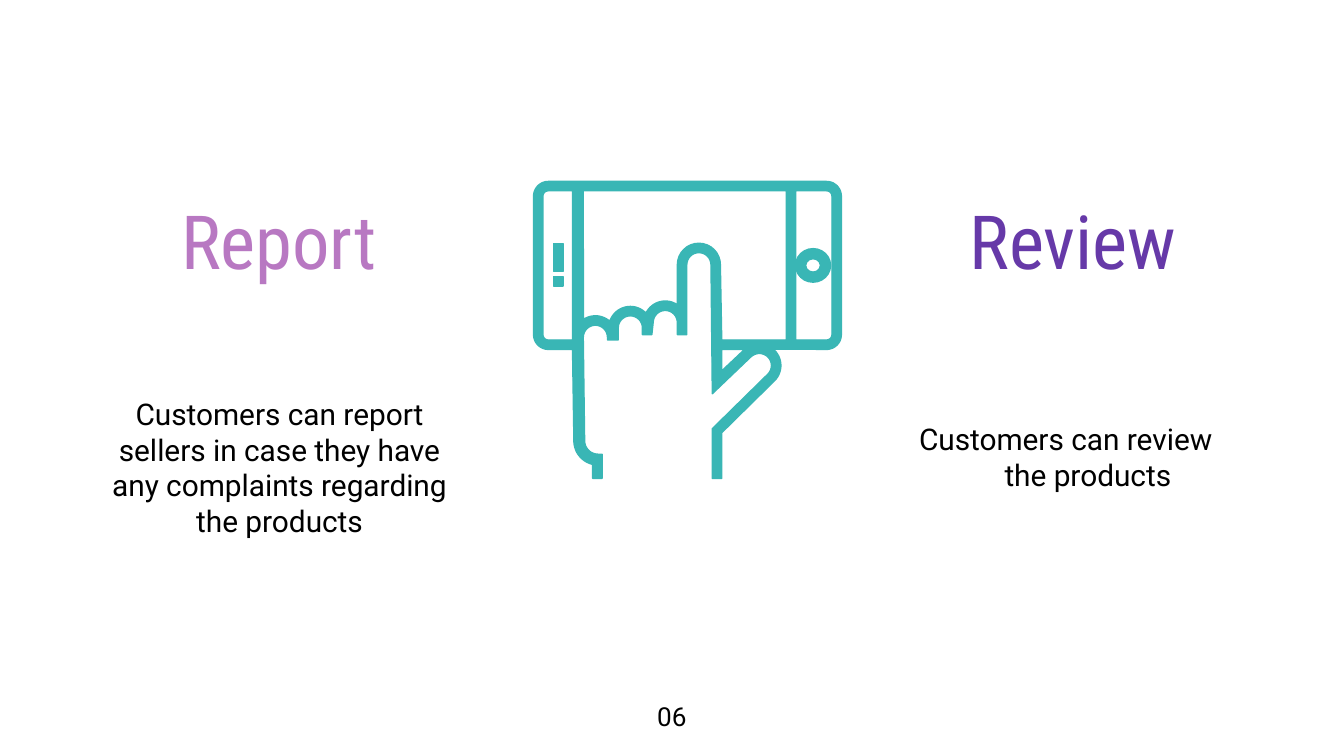
from math import cos, radians, sin

from pptx import Presentation
from pptx.dml.color import RGBColor
from pptx.enum.shapes import MSO_SHAPE
from pptx.enum.text import MSO_ANCHOR, PP_ALIGN
from pptx.util import Inches, Pt

TEAL, BLACK = "39B6B5", "000000"
BODY, HEAD = "Roboto", "Roboto Condensed"
MIDDLE, TOP = MSO_ANCHOR.MIDDLE, MSO_ANCHOR.TOP

# Text, box (left, top, width, height), font, size, colour, anchor, hanging indent
TEXTS = [
    ("Customers can report sellers in case they have any complaints "
     "regarding the products",
     (0.67, 3.13, 2.82, 0.69), BODY, 16, BLACK, MIDDLE, 0),
    ("Customers can review the products",
     (6.68, 3.05, 2.5, 0.69), BODY, 16, BLACK, MIDDLE, 0.33),
    ("Report", (1.2, 1.63, 1.75, 0.31), HEAD, 40, "B878C2", MIDDLE, 0),
    ("Review", (7.11, 1.63, 1.75, 0.31), HEAD, 40, "6639A8", MIDDLE, 0),
    ("06", (4.71, 5.11, 0.58, 0.44), BODY, 14, BLACK, TOP, 0),
]


def arc(center, radius, start, end, steps=16):
    """Points on a circle; angles in degrees, clockwise from the right."""
    cx, cy = center
    angles = [radians(start + (end - start) * i / steps) for i in range(steps + 1)]
    return [(cx + radius * cos(a), cy + radius * sin(a)) for a in angles]


# Centres of the round parts of the hand and the phone corners
FINGER, THUMB, WRIST = (5.2, 1.97), (5.65, 2.72), (4.45, 3.28)
RING, MID, INDEX = (4.43, 2.51), (4.69, 2.44), (4.95, 2.4)
TL, TR, BR, BL = (4.08, 1.46), (6.15, 1.46), (6.15, 2.49), (4.08, 2.49)
OUTER, INNER = 0.16, 0.09         # radii of the fingers
EDGE, CORNER = 0.11, 0.04         # radii of the phone corners

SILHOUETTE = [
    *arc(TR, EDGE, 270, 360), *arc(BR, EDGE, 0, 90),
    *arc(THUMB, OUTER, -50, 45),
    (5.37, 3.22), (5.37, 3.56), (5.3, 3.56), (5.3, 3.19),
    *arc(THUMB, INNER, 45, -135), (5.3, 2.93),
    *arc(FINGER, INNER, 360, 180), (5.11, 2.49), (5.04, 2.49),
    *arc(INDEX, INNER, 360, 180), (4.85, 2.49), (4.78, 2.49),
    *arc(MID, INNER, 360, 180), (4.6, 2.53), (4.52, 2.53),
    *arc(RING, INNER, 360, 180),
    *arc(WRIST, 0.1, 180, 90), (4.48, 3.38), (4.48, 3.56), (4.41, 3.56),
    *arc(WRIST, 0.18, 103, 180), (4.26, 2.6),
    *arc(BL, EDGE, 90, 180), *arc(TL, EDGE, 180, 270),
]
SCREEN = [
    (4.34, 1.42), *arc(RING, OUTER, 236, 307), *arc(MID, OUTER, 200, 312),
    *arc(INDEX, OUTER, 208, 304), *arc(FINGER, OUTER, 180, 360),
    (5.37, 2.53), (5.85, 2.53), (5.85, 1.42),
]
RIGHT_PANEL = [(5.92, 1.42), (5.92, 2.53),
               *arc(BR, CORNER, 90, 0), *arc(TR, CORNER, 0, -90)]
LEFT_PANEL = [(4.26, 1.42), (4.26, 2.53),
              *arc(BL, CORNER, 90, 180), *arc(TL, CORNER, 180, 270)]
THUMB_GAP = [(5.37, 2.6), (5.37, 2.76), (5.54, 2.6)]
HOLES = [RIGHT_PANEL, SCREEN, LEFT_PANEL, THUMB_GAP]

# Speaker bars and home button
DETAILS = [
    (MSO_SHAPE.RECTANGLE, (4.12, 2.06, 0.07, 0.07)),
    (MSO_SHAPE.RECTANGLE, (4.12, 1.81, 0.07, 0.21)),
    (MSO_SHAPE.DONUT, (5.92, 1.85, 0.26, 0.25)),
]


def color(value):
    return RGBColor.from_string(value)


def paint(sp):
    sp.shadow.inherit = False
    sp.fill.solid()
    sp.fill.fore_color.rgb = color(TEAL)
    sp.line.color.rgb = color(TEAL)
    sp.line.width = Pt(0.75)


def add_text(slide, text, box, font, size, rgb, anchor, hanging):
    tf = slide.shapes.add_textbox(*map(Inches, box)).text_frame
    tf.word_wrap = True
    tf.vertical_anchor = anchor
    tf.margin_left = tf.margin_right = tf.margin_top = tf.margin_bottom = Inches(0.1)
    p = tf.paragraphs[0]
    p.text = text
    p.alignment = PP_ALIGN.CENTER
    if hanging:
        pPr = p._p.get_or_add_pPr()
        pPr.set("marL", str(int(Inches(hanging))))
        pPr.set("indent", str(-int(Inches(hanging))))
    r = p.runs[0]
    r.font.name, r.font.size = font, Pt(size)
    r.font.color.rgb = color(rgb)


def add_icon(slide):
    shapes = slide.shapes.add_group_shape().shapes
    # Hand and phone: one outline with holes
    outline, *holes = [[(Inches(x), Inches(y)) for x, y in contour]
                       for contour in [SILHOUETTE, *HOLES]]
    builder = shapes.build_freeform(*outline[0])
    builder.add_line_segments(outline[1:], close=True)
    for hole in holes:
        builder.move_to(*hole[0])
        builder.add_line_segments(hole[1:], close=True)
    paint(builder.convert_to_shape())
    for kind, box in DETAILS:
        sp = shapes.add_shape(kind, *map(Inches, box))
        if kind == MSO_SHAPE.DONUT:
            sp.adjustments[0] = 0.3
        paint(sp)


def main():
    prs = Presentation()
    prs.slide_width = Inches(10)
    prs.slide_height = prs.slide_width * 9 // 16
    slide = prs.slides.add_slide(prs.slide_layouts[6])
    add_icon(slide)
    for item in TEXTS:
        add_text(slide, *item)
    prs.save("out.pptx")


if __name__ == "__main__":
    main()
